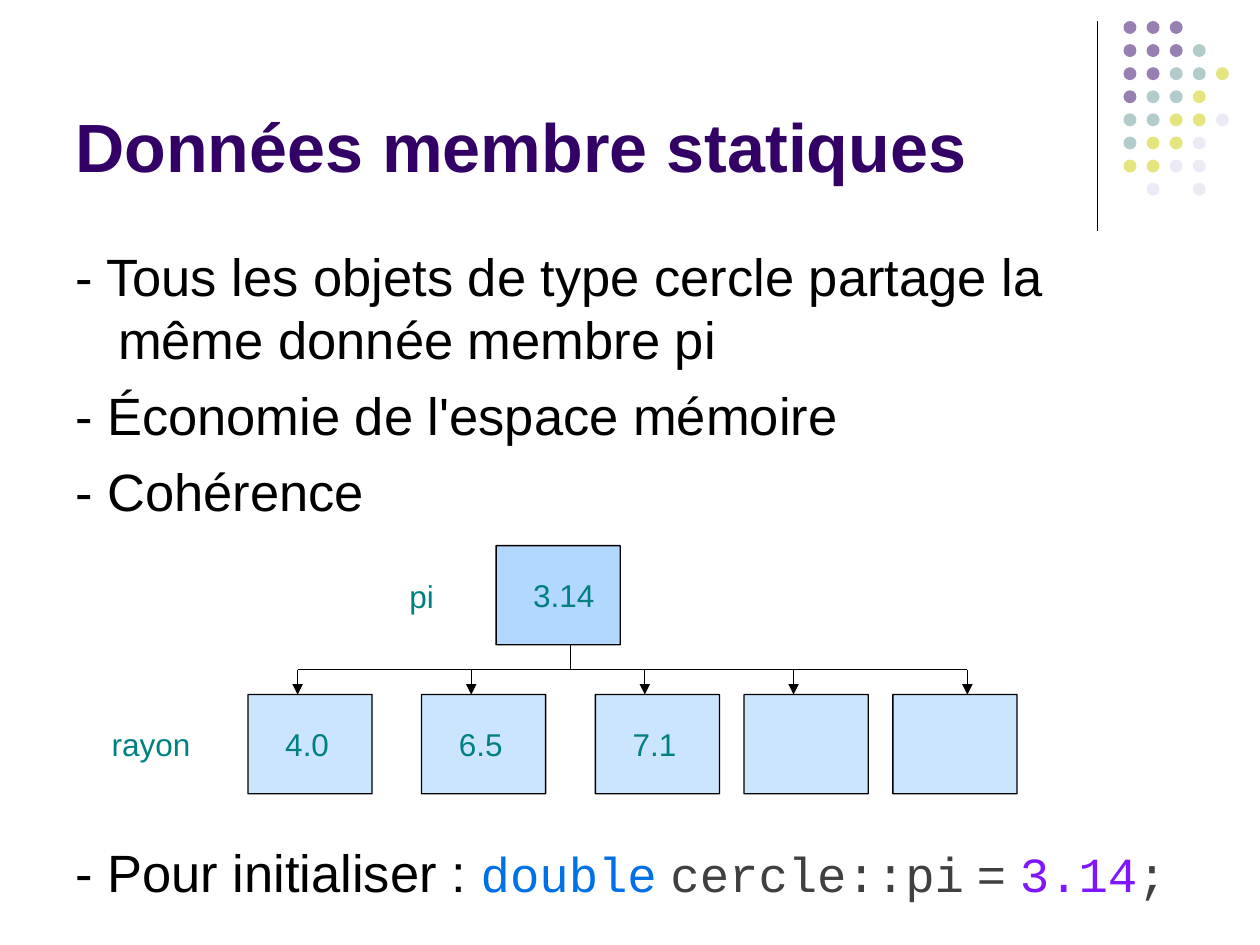
from pptx import Presentation
from pptx.dml.color import RGBColor
from pptx.enum.shapes import MSO_CONNECTOR, MSO_SHAPE
from pptx.enum.text import MSO_ANCHOR
from pptx.oxml.ns import qn
from pptx.util import Pt
from lxml import etree

ROUNDED = MSO_SHAPE.ROUNDED_RECTANGLE
OVAL = MSO_SHAPE.OVAL
STRAIGHT = MSO_CONNECTOR.STRAIGHT


def color(hex_value):
    return RGBColor.from_string(hex_value)


def set_alpha(shape, percent):
    fill_color = shape.fill._xPr.find(qn("a:solidFill"))[0]
    etree.SubElement(fill_color, qn("a:alpha")).set("val", str(percent * 1000))


presentation = Presentation()
presentation.slide_width, presentation.slide_height = Pt(720), Pt(540)
slide = presentation.slides.add_slide(presentation.slide_layouts[6])
shapes = slide.shapes

# Corner decoration: one letter per dot
dot_colors = {"P": "330066", "T": "669999", "Y": "CCCC00", "L": "D8D8EC"}
dot_rows = ["PPP", "PPPT", "PPTTY", "PTTY", "TTYYL", "TYYL", "YYLL", " L L"]
dots = shapes.add_group_shape()
for row, letters in enumerate(dot_rows):
    for column, letter in enumerate(letters):
        if letter == " ":
            continue
        dot = dots.shapes.add_shape(OVAL, Pt(642 + 13.2 * column), Pt(12 + 13.2 * row),
                                    Pt(7.4), Pt(7.4))
        dot.shadow.inherit = False
        dot.fill.solid()
        dot.fill.fore_color.rgb = color(dot_colors[letter])
        set_alpha(dot, 50)
        dot.line.fill.background()

# Title
title = shapes.add_textbox(Pt(36), Pt(8.6), Pt(592.6), Pt(101.5))
title.text_frame.word_wrap = True
title.text_frame.vertical_anchor = MSO_ANCHOR.BOTTOM
paragraph = title.text_frame.paragraphs[0]
paragraph.text = "Données membre statiques"
paragraph.font.name, paragraph.font.size, paragraph.font.bold = "Arial", Pt(39), True
paragraph.font.color.rgb = color("330066")

# Body: each paragraph is a list of (text, font, size, colour)
body_lines = [
    [("- Tous les objets de type cercle partage la même donnée membre pi", "Arial", 30, "000000")],
    [("- Économie de l'espace mémoire", "Arial", 30, "000000")],
    [("- Cohérence", "Arial", 30, "000000")],
    [("- Pour initialiser : ", "Arial", 30, "000000"),
     ("double", "Courier New", 28, "0070E6"),
     (" ", "Arial", 28, "404040"),
     ("cercle::pi", "Courier New", 28, "404040"),
     (" = ", "Arial", 28, "404040"),
     ("3.14", "Courier New", 28, "8016FF"),
     (";", "Courier New", 28, "404040")],
]
body = shapes.add_textbox(Pt(33.8), Pt(136), Pt(646.6), Pt(388.8))
body.text_frame.word_wrap = True
for index, pieces in enumerate(body_lines):
    paragraph = body.text_frame.paragraphs[0] if index == 0 else body.text_frame.add_paragraph()
    properties = paragraph._p.get_or_add_pPr()
    properties.set("marL", str(Pt(26.6)))
    properties.set("indent", str(Pt(-24.5)))
    paragraph.line_spacing = Pt(36)
    paragraph.space_before = Pt([0, 7.5, 7.5, 181.5][index])  # last gap holds the diagram
    for text, font_name, size, hex_value in pieces:
        run = paragraph.add_run()
        run.text = text
        run.font.name, run.font.size = font_name, Pt(size)
        run.font.color.rgb = color(hex_value)

# Diagram boxes: the shared value above, one box per object below
object_lefts = [141.7, 240.9, 340.2, 425.2, 510.2]
boxes = [(283.5, 311.8, 75)] + [(left, 396.9, 50) for left in object_lefts]
for left, top, opacity in boxes:
    box = shapes.add_shape(ROUNDED, Pt(left), Pt(top), Pt(70.9), Pt(56.7))
    box.adjustments[0] = 0.002
    box.shadow.inherit = False
    box.fill.solid()
    box.fill.fore_color.rgb = color("99CCFF")
    set_alpha(box, opacity)
    box.line.color.rgb = color("000000")
    box.line.width = Pt(0.75)

# Diagram labels
labels = [("pi", 226.8, 326, 42.5), ("3.14", 297.6, 325.6, 56.7), ("rayon", 56.7, 411, 70.9)]
labels += [(value, left + 14.2, 411, 42.5)
           for value, left in zip(["4.0", "6.5", "7.1"], object_lefts)]
for text, left, top, width in labels:
    label = shapes.add_textbox(Pt(left), Pt(top), Pt(width), Pt(28.8))
    label.text_frame.word_wrap = True
    paragraph = label.text_frame.paragraphs[0]
    paragraph.text = text
    paragraph.font.name, paragraph.font.size = "Arial", Pt(18)
    paragraph.font.color.rgb = color("008080")

# Lines: corner rule, stem, bus, then an arrow to each object
arrow_xs = [170.1, 269.3, 368.5, 453.5, 552.8]
lines = [(627, 12, 627, 132, False),
         (326, 368.5, 326, 382.7, False),
         (arrow_xs[0], 382.7, arrow_xs[-1], 382.7, False)]
lines += [(x, 382.7, x, 396.9, True) for x in arrow_xs]
for x1, y1, x2, y2, has_arrow in lines:
    line = shapes.add_connector(STRAIGHT, Pt(x1), Pt(y1), Pt(x2), Pt(y2))
    line.line.color.rgb = color("000000")
    line.line.width = Pt(0.75)
    if has_arrow:
        etree.SubElement(line.line._get_or_add_ln(), qn("a:tailEnd")).set("type", "triangle")
    etree.SubElement(line._element.spPr, qn("a:effectLst"))

presentation.save("out.pptx")
